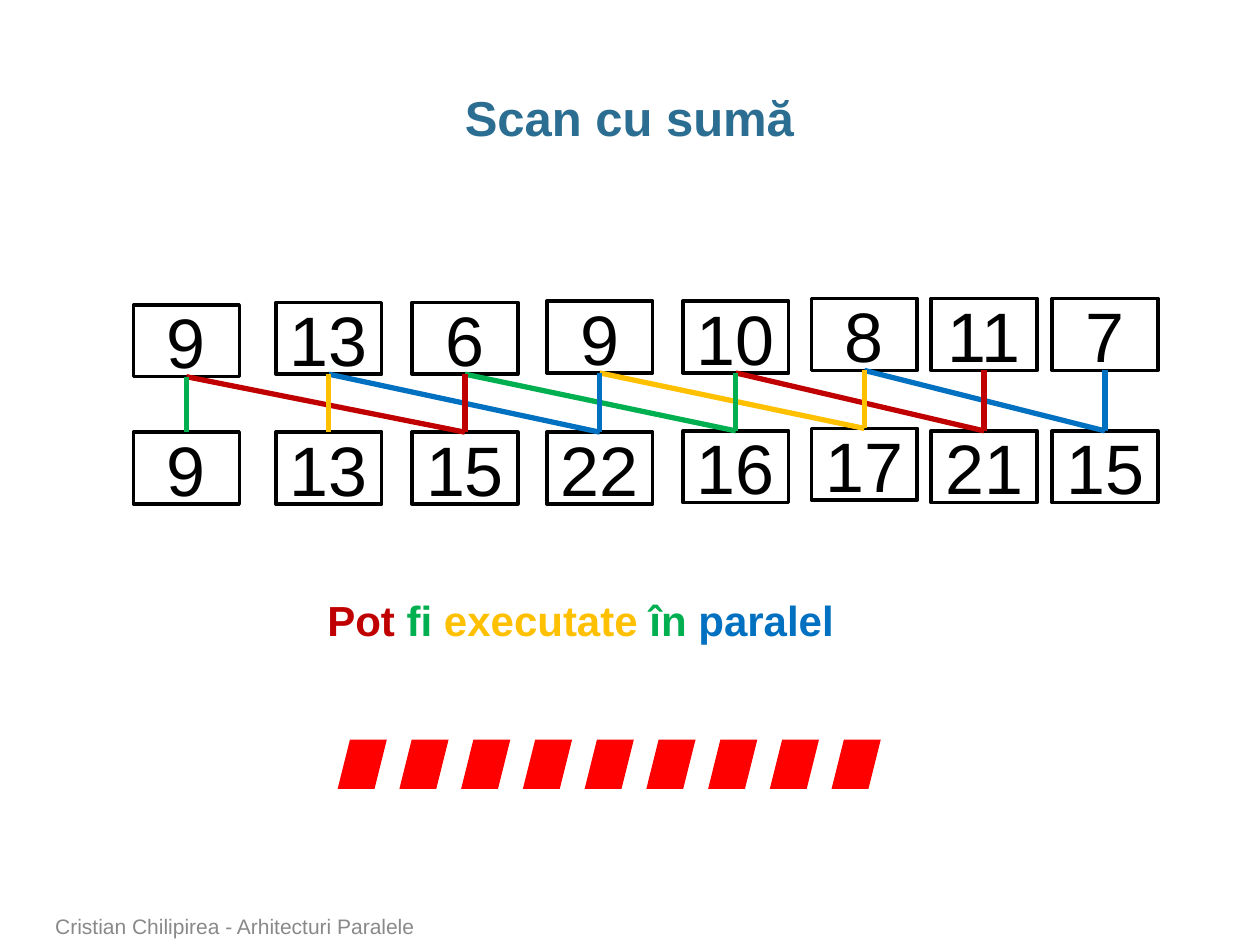
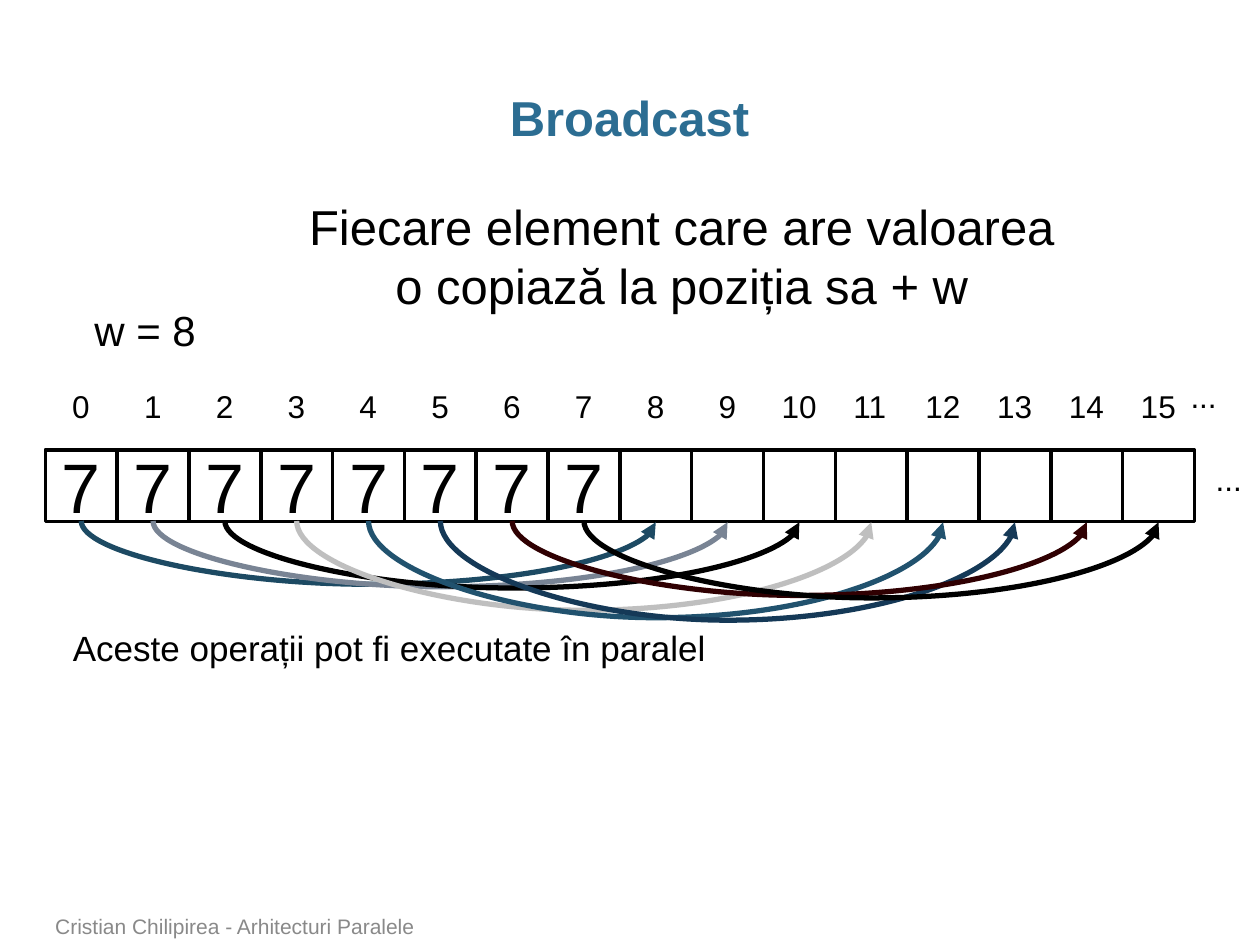
"""Build two slides on parallel scan and broadcast."""
import lxml.etree
import pptx
import pptx.dml.color
import pptx.enum.shapes
import pptx.enum.text
import pptx.oxml.ns
import pptx.util

COLORS = {
    "title": "2C6D92", "footer": "898989", "ink": "000000", "marker": "FF0000",
    "red": "C00000", "green": "00B050", "yellow": "FFC000", "blue": "0070C0",
    "teal": "1D4A63", "slate": "798494", "silver": "BFBFBF",
    "sea": "21526E", "navy": "153957", "maroon": "300002",
}
GRID = pptx.util.Inches(0.1)
COLUMNS, ROWS = 100, 75
FONT = "Arial"
ALIGN = pptx.enum.text.PP_ALIGN
ANCHOR = pptx.enum.text.MSO_ANCHOR
FIT = pptx.enum.text.MSO_AUTO_SIZE.SHAPE_TO_FIT_TEXT
SHAPE = pptx.enum.shapes.MSO_SHAPE
CONNECTOR = pptx.enum.shapes.MSO_CONNECTOR

LABEL = {"word_wrap": False, "auto_size": FIT}
BOTTOM, TOP = 2, 0

BOX_WIDTH, BOX_HEIGHT = 8.4, 5.7
BOX_LEFTS = [10.6, 21.9, 32.7, 43.4, 54.2, 64.4, 73.9, 83.5]
INPUTS = [9, 13, 6, 9, 10, 8, 11, 7]
INPUT_TOPS = [24.2, 24, 24, 23.9, 23.9, 23.7, 23.7, 23.7]
SUMS = [9, 13, 15, 22, 16, 17, 21, 15]
SUM_TOPS = [34.3, 34.3, 34.3, 34.3, 34.2, 34, 34.2, 34.2]
SUM_COLORS = ["green", "yellow", "red", "blue"]
SCAN_STEP = 2

CELL = 5.7
ARRAY_LEFT, ARRAY_TOP = 3.6, 35.7
ARRAY_LENGTH, COPY_STEP = 16, 8
COPIES = [("teal", 5.1), ("slate", 5.3), ("ink", 5.4), ("silver", 7.2),
          ("sea", 7.8), ("navy", 8), ("maroon", 6), ("ink", 6.2)]


def rgb(color):
    """Return the named palette colour."""
    return pptx.dml.color.RGBColor.from_string(COLORS[color])


def grid(*cells):
    """Turn grid columns or rows into lengths."""
    return [int(cell * GRID) for cell in cells]


def apply_format(target, values):
    """Set each attribute of target from a dict."""
    for name, value in values.items():
        setattr(target, name, value)


def write(shape, runs, size, frame=None, paragraph=None, bold=False):
    """Fill a shape with one paragraph of coloured runs."""
    apply_format(shape.text_frame, frame or {})
    line = shape.text_frame.paragraphs[0]
    apply_format(line, paragraph or {})
    for words, color in runs:
        run = line.add_run()
        run.text = words
        apply_format(run.font, {"name": FONT, "size": pptx.util.Pt(size), "bold": bold})
        run.font.color.rgb = rgb(color)


def add_text(slide, place, runs, size, frame=LABEL, **formats):
    """Add a text box at a grid place."""
    if isinstance(runs, str):
        runs = [(runs, "ink")]
    write(slide.shapes.add_textbox(*grid(*place)), runs, size, frame, **formats)


def add_box(slide, place, value):
    """Add an outlined array box with a centred value."""
    box = slide.shapes.add_shape(SHAPE.RECTANGLE, *grid(*place))
    box.shadow.inherit = False
    box.fill.background()
    box.line.color.rgb = rgb("ink")
    box.line.width = pptx.util.Pt(2)
    if value:
        write(box, [(value, "ink")], 40, {"vertical_anchor": ANCHOR.MIDDLE},
              {"alignment": ALIGN.CENTER})
    return box


def add_marker(slide, place):
    """Add a red slanted marker."""
    marker = slide.shapes.add_shape(SHAPE.PARALLELOGRAM, *grid(*place))
    marker.shadow.inherit = False
    marker.fill.solid()
    marker.fill.fore_color.rgb = rgb("marker")
    marker.line.fill.background()


def style_link(link, color):
    """Colour a connector and drop its shadow."""
    link.line.color.rgb = rgb(color)
    link.line.width = pptx.util.Pt(3)
    lxml.etree.SubElement(link._element.spPr, pptx.oxml.ns.qn("a:effectLst"))


def add_link(slide, source, target, color):
    """Join the bottom of source to the top of target."""
    link = slide.shapes.add_connector(CONNECTOR.STRAIGHT, 0, 0, 0, 0)
    link.begin_connect(source, BOTTOM)
    link.end_connect(target, TOP)
    style_link(link, color)


def add_copy_arrow(slide, start, row, span, depth, color):
    """Add an arrow that sags by depth below a row."""
    qn = pptx.oxml.ns.qn
    thickness = 0.1
    center = start + span / 2
    arrow = slide.shapes.add_connector(CONNECTOR.CURVE, *grid(
        center - thickness / 2, row - span / 2, center + thickness / 2, row + span / 2))
    style_link(arrow, color)
    properties = arrow._element.spPr
    frame = properties.find(qn("a:xfrm"))
    frame.set("rot", str(270 * 60000))
    frame.set("flipH", "1")
    bend = round(depth / thickness * 100000)
    lxml.etree.SubElement(next(properties.iter(qn("a:avLst"))), qn("a:gd"),
                          name="adj1", fmla=f"val {bend}")
    lxml.etree.SubElement(properties.find(qn("a:ln")), qn("a:tailEnd"), type="triangle")


def add_page(deck, title):
    """Add a blank slide with the shared title and footer."""
    slide = deck.slides.add_slide(deck.slide_layouts[6])
    add_text(slide, (3.4, 6.8, 93.1, 5), [(title, "title")], 28,
             {"word_wrap": True, "margin_left": 0, "margin_right": 0},
             paragraph={"alignment": ALIGN.CENTER, "line_spacing": 0.95}, bold=True)
    add_text(slide, (3.4, 72.2, 73.7, 2.8),
             [("Cristian Chilipirea - Arhitecturi Paralele", "footer")], 12,
             {"word_wrap": True, "vertical_anchor": ANCHOR.BOTTOM})
    return slide


def add_value_row(slide, values, tops):
    """Add one row of scan boxes."""
    return [add_box(slide, (left, top, BOX_WIDTH, BOX_HEIGHT), str(value))
            for left, top, value in zip(BOX_LEFTS, tops, values)]


def build_scan(deck):
    """Build the prefix sum slide."""
    slide = add_page(deck, "Scan cu sumă")
    inputs = add_value_row(slide, INPUTS, INPUT_TOPS)
    sums = add_value_row(slide, SUMS, SUM_TOPS)
    for index in reversed(range(len(sums))):
        color = SUM_COLORS[index % len(SUM_COLORS)]
        if index >= SCAN_STEP:
            add_link(slide, inputs[index - SCAN_STEP], sums[index], color)
        add_link(slide, inputs[index], sums[index], color)
    add_text(slide, (25, 46.7, 42.6, 5),
             [("Pot ", "red"), ("fi ", "green"), ("executate ", "yellow"),
              ("în", "green"), (" paralel", "blue")], 24, bold=True)
    for index in range(9):
        add_marker(slide, (26.8 + 4.9 * index, 58.7, 3.9, 3.9))


def build_broadcast(deck):
    """Build the broadcast slide."""
    slide = add_page(deck, "Broadcast")
    for index in range(ARRAY_LENGTH):
        left = ARRAY_LEFT + CELL * index
        add_box(slide, (left, ARRAY_TOP, CELL, CELL), "7" if index < COPY_STEP else "")
        position = str(index)
        width = 2 + 1.4 * len(position)
        add_text(slide, (left + (CELL - width) / 2, 30.2, width, 4), position, 18)
    for left, top in ((93.5, 29.4), (95.5, 36)):
        add_text(slide, (left, top, 4.1, 4), "...", 18)
    for index, (color, depth) in enumerate(COPIES):
        add_copy_arrow(slide, ARRAY_LEFT + CELL * (index + 0.5), ARRAY_TOP + CELL,
                       CELL * COPY_STEP, depth, color)
    add_text(slide, (6.5, 23.7, 10.2, 5), "w = 8", 24)
    add_text(slide, (4.8, 49.2, 52.6, 4.4), "Aceste operații pot fi executate în paralel", 20)
    add_text(slide, (22, 15.1, 64.2, 10.4),
             "Fiecare element care are valoarea o copiază la poziția sa + w", 28,
             {"word_wrap": True, "auto_size": FIT}, paragraph={"alignment": ALIGN.CENTER})


def main():
    """Build and save the deck."""
    deck = pptx.Presentation()
    deck.slide_width, deck.slide_height = grid(COLUMNS, ROWS)
    build_scan(deck)
    build_broadcast(deck)
    deck.save("out.pptx")


if __name__ == "__main__":
    main()
